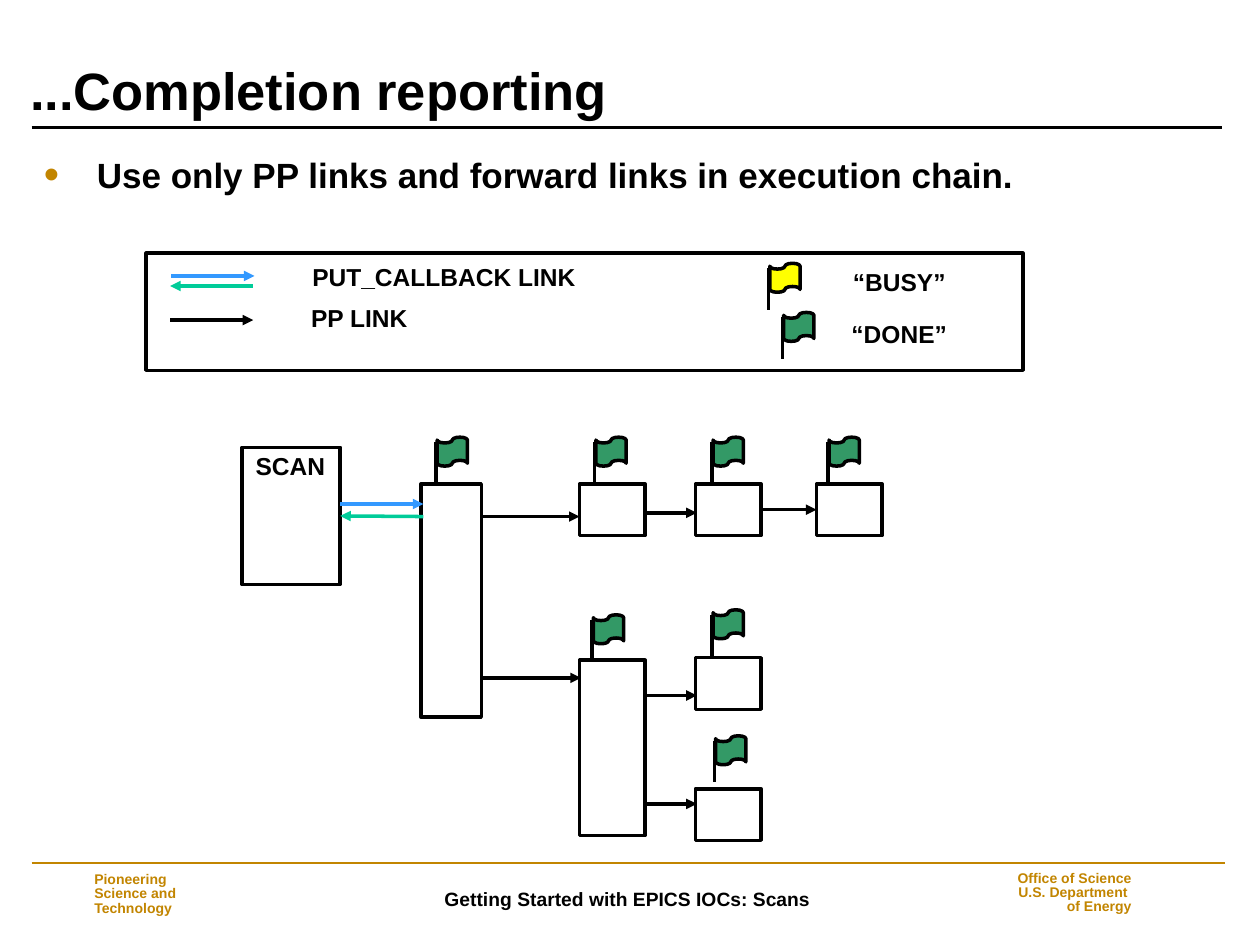
from typing import NamedTuple, Optional

from lxml import etree
from pptx import Presentation
from pptx.dml.color import RGBColor
from pptx.enum.shapes import MSO_CONNECTOR, MSO_SHAPE
from pptx.enum.text import MSO_ANCHOR as Anchor, PP_ALIGN as Align
from pptx.oxml.ns import qn
from pptx.util import Inches, Pt

BLACK = RGBColor(0x00, 0x00, 0x00)
GOLD = RGBColor(0xC2, 0x85, 0x00)
BLUE = RGBColor(0x33, 0x99, 0xFF)
TEAL = RGBColor(0x00, 0xCC, 0x99)
YELLOW = RGBColor(0xFF, 0xFF, 0x00)
GREEN = RGBColor(0x33, 0x99, 0x66)

RIGHT_SIDE, LEFT_SIDE = 3, 1


class Box(NamedTuple):
    left: float
    top: float
    width: float
    height: float


class Line(NamedTuple):
    x1: float
    y1: float
    x2: float
    y2: float
    color: RGBColor = BLACK
    arrow: Optional[str] = "tailEnd"
    weight: float = 2
    start: Optional[str] = None
    end: Optional[str] = None


class Flag(NamedTuple):
    left: float
    top: float
    color: RGBColor = GREEN


class Label(NamedTuple):
    place: Box
    paragraphs: list  # each paragraph is a list of lines
    size: float = 14
    color: RGBColor = BLACK
    align: Align = Align.LEFT
    anchor: Anchor = Anchor.TOP
    spacing: Optional[float] = None
    bullet: bool = False


RECORD = (0.52, 0.41)
ROW = 3.84

BOXES = {
    "scan": Box(1.92, 3.55, 0.78, 1.09),
    "first": Box(3.34, ROW, 0.48, 1.85),
    "upper 1": Box(4.6, ROW, *RECORD),
    "upper 2": Box(5.52, ROW, *RECORD),
    "upper 3": Box(6.48, ROW, *RECORD),
    "lower": Box(4.6, 5.24, 0.52, 1.39),
    "lower 1": Box(5.52, 5.22, *RECORD),
    "lower 2": Box(5.52, 6.26, *RECORD),
    "legend": Box(1.16, 2.01, 6.96, 0.93),
}

LINES = [
    # Rules of the page
    Line(0.25, 1.01, 9.7, 1.01, arrow=None, weight=1.5),
    Line(0.25, 6.85, 9.72, 6.85, GOLD, None, 1),
    # Legend
    Line(1.36, 2.19, 2.02, 2.19, BLUE),
    Line(1.35, 2.27, 2.01, 2.27, TEAL, "headEnd"),
    Line(1.35, 2.54, 2.01, 2.54),
    # Put callback pair
    Line(2.7, 4, 3.36, 4, BLUE),
    Line(2.7, 4.1, 3.36, 4.1, TEAL, "headEnd", start="scan"),
    # Process passive links
    Line(3.82, 4.1, 4.6, 4.1),
    Line(3.82, 5.38, 4.61, 5.38),
    Line(5.12, 4.07, 5.53, 4.07),
    Line(6.04, 4.05, 6.48, 4.05, start="upper 2", end="upper 3"),
    Line(5.12, 5.52, 5.53, 5.52),
    Line(5.12, 6.38, 5.53, 6.38),
]

FLAGS = [Flag(6.11, 2.09, YELLOW), Flag(6.22, 2.48)]
FLAGS += [Flag(left, 3.47) for left in (3.47, 4.73, 5.66, 6.58)]
FLAGS += [Flag(4.71, 4.88), Flag(5.66, 4.84), Flag(5.68, 5.84)]

LABELS = [
    Label(Box(0.14, 0.52, 9.58, 0.5), [["...Completion reporting"]], 30,
          anchor=Anchor.BOTTOM, spacing=0.9),
    Label(Box(0.25, 1.17, 9.46, 0.43),
          [["Use only PP links and forward links in execution chain."]], 20, bullet=True),
    Label(Box(1.93, 3.53, 0.8, 0.34), [["SCAN"]]),
    Label(Box(2.38, 2.03, 2.62, 0.34), [["PUT_CALLBACK LINK"]]),
    Label(Box(2.37, 2.36, 1.85, 0.34), [["PP LINK"]]),
    Label(Box(6.67, 2.07, 1.05, 0.34), [["“BUSY”"]]),
    Label(Box(6.66, 2.48, 1.03, 0.34), [["“DONE”"]]),
    # Footer
    Label(Box(0.65, 6.88, 1.46, 0.44), [["Pioneering ", "Science and", "Technology"]],
          8, GOLD, anchor=Anchor.MIDDLE, spacing=0.85),
    Label(Box(2.02, 6.89, 5.92, 0.48), [["Getting Started with EPICS IOCs: Scans"]],
          11, align=Align.CENTER, anchor=Anchor.MIDDLE),
    Label(Box(7.84, 6.87, 1.24, 0.44),
          [["Office of Science"], [" U.S. Department "], ["of Energy"]],
          8, GOLD, Align.RIGHT, Anchor.MIDDLE, 0.85),
]


def add_outline(page, kind: MSO_SHAPE, place: Box, fill: Optional[RGBColor] = None):
    shape = page.shapes.add_shape(kind, *map(Inches, place))
    shape.shadow.inherit = False
    if fill is None:
        shape.fill.background()
    else:
        shape.fill.solid()
        shape.fill.fore_color.rgb = fill
    shape.line.color.rgb = BLACK
    shape.line.width = Pt(2)
    return shape


def add_line(page, line: Line, boxes: dict) -> None:
    connector = page.shapes.add_connector(
        MSO_CONNECTOR.STRAIGHT, *map(Inches, (line.x1, line.y1, line.x2, line.y2)))
    connector.line.color.rgb = line.color
    connector.line.width = Pt(line.weight)
    if line.arrow:
        etree.SubElement(connector.line._get_or_add_ln(), qn(f"a:{line.arrow}"), type="triangle")
    etree.SubElement(connector._element.spPr, qn("a:effectLst"))
    if line.start:
        connector.begin_connect(boxes[line.start], RIGHT_SIDE)
    if line.end:
        connector.end_connect(boxes[line.end], LEFT_SIDE)


def add_flag(page, flag: Flag) -> None:
    add_outline(page, MSO_SHAPE.FLOWCHART_PUNCHED_TAPE,
                Box(flag.left, flag.top, 0.24, 0.23), flag.color)
    pole, top = flag.left - 0.01, flag.top + 0.04
    add_line(page, Line(pole, top, pole, top + 0.33, arrow=None), {})


def add_bullet(para) -> None:
    properties = para._p.get_or_add_pPr()
    properties.set("marL", str(Inches(0.42)))
    properties.set("indent", str(-Inches(0.42)))
    color = etree.SubElement(properties, qn("a:buClr"))
    etree.SubElement(color, qn("a:srgbClr"), val=str(GOLD))
    etree.SubElement(properties, qn("a:buSzPct"), val="125000")
    etree.SubElement(properties, qn("a:buFont"), typeface="Arial")
    etree.SubElement(properties, qn("a:buChar"), char="•")


def add_label(page, label: Label) -> None:
    frame = page.shapes.add_textbox(*map(Inches, label.place)).text_frame
    frame.word_wrap = True
    frame.vertical_anchor = label.anchor
    for number, lines in enumerate(label.paragraphs):
        para = frame.add_paragraph() if number else frame.paragraphs[0]
        para.alignment = label.align
        if label.spacing:
            para.line_spacing = label.spacing
        if label.bullet:
            add_bullet(para)
        for position, text in enumerate(lines):
            if position:
                para.add_line_break()
            span = para.add_run()
            span.text = text
            span.font.name = "Arial"
            span.font.size = Pt(label.size)
            span.font.bold = True
            span.font.color.rgb = label.color


def main() -> None:
    deck = Presentation()
    deck.slide_width, deck.slide_height = Inches(10), Inches(7.5)
    page = deck.slides.add_slide(deck.slide_layouts[6])

    boxes = {name: add_outline(page, MSO_SHAPE.RECTANGLE, place)
             for name, place in BOXES.items()}
    for line in LINES:
        add_line(page, line, boxes)
    for flag in FLAGS:
        add_flag(page, flag)
    for label in LABELS:
        add_label(page, label)

    deck.save("out.pptx")


if __name__ == "__main__":
    main()
